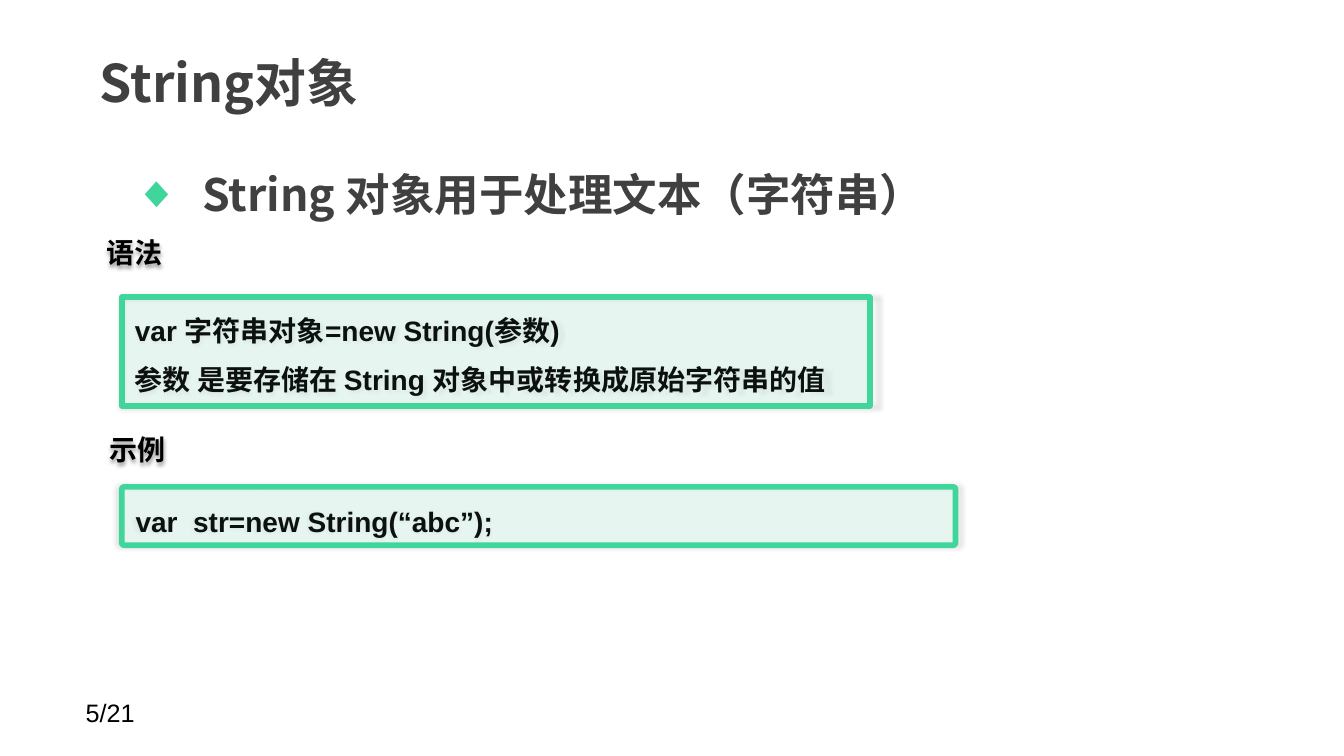
from lxml.etree import SubElement
from pptx import Presentation
from pptx.dml.color import RGBColor
from pptx.enum.shapes import MSO_SHAPE as Shape
from pptx.enum.text import MSO_ANCHOR as Anchor, MSO_AUTO_SIZE as AutoSize
from pptx.oxml.ns import qn
from pptx.util import Cm, Pt

COLORS = {"green": "40D59B", "mint": "A6EBD1", "code": "0C1110",
          "heading": "404040", "black": "000000"}
LATIN, CJK = "Arial", "Noto Sans CJK SC"


def color(name):
    return RGBColor.from_string(COLORS[name])


def add_node(parent, tag, **attributes):
    return SubElement(parent, qn(tag), {key: str(value) for key, value in attributes.items()})


def add_color(parent, name, alpha=100):
    node = add_node(parent, "a:srgbClr", val=COLORS[name])
    if alpha < 100:
        add_node(node, "a:alpha", val=alpha * 1000)


def add_shadow(shape, alpha, **geometry):
    effects = add_node(shape.element.spPr, "a:effectLst")
    shadow = add_node(effects, "a:outerShdw", blurRad=Pt(3), **geometry, rotWithShape=0)
    add_color(shadow, "black", alpha)


def write(shape, *lines, size, ink, font=CJK, bold=True, anchor=Anchor.TOP,
          inset=(0.33, 0.16), spacing=None, before=0, wrap=True):
    """Fill the shape with one formatted paragraph per line."""
    frame = shape.text_frame
    frame.word_wrap = wrap
    frame.vertical_anchor = anchor
    frame.margin_left = frame.margin_right = Cm(inset[0])
    frame.margin_top = frame.margin_bottom = Cm(inset[1])
    for index, line in enumerate(lines):
        para = frame.add_paragraph() if index else frame.paragraphs[0]
        para.line_spacing = spacing
        para.space_before = Pt(before)
        span = para.add_run()
        span.text = line
        span.font.size, span.font.bold, span.font.name = Pt(size), bold, font
        span.font.color.rgb = color(ink)
        add_node(span.font._element, "a:ea", typeface=CJK)
    return frame


def add_text(page, box, *lines, **style):
    shape = page.shapes.add_textbox(*map(Cm, box))
    write(shape, *lines, **style)
    return shape


def add_point(page, box, text):
    """Main statement with a green diamond bullet."""
    shape = add_text(page, box, text, size=31.8, ink="heading", spacing=1.5, before=6.4)
    layout = shape.text_frame.paragraphs[0]._p.get_or_add_pPr()
    layout.set("marL", str(Cm(1.7)))
    layout.set("indent", str(-Cm(1.7)))
    add_color(add_node(layout, "a:buClr"), "green")
    add_node(layout, "a:buFont", typeface=LATIN)
    add_node(layout, "a:buChar", char="◆")


def add_label(page, box, text):
    """Section label with a soft shadow below its letters."""
    shape = add_text(page, box, text, size=20, ink="black", anchor=Anchor.MIDDLE,
                     inset=(0.25, 0.13), wrap=False)
    shape.text_frame.auto_size = AutoSize.SHAPE_TO_FIT_TEXT
    add_shadow(shape, 40, dist=Pt(2), dir=5400000)


def add_code(page, box, *lines, kind=Shape.RECTANGLE, align="tl"):
    """Framed code panel with a translucent fill."""
    panel = page.shapes.add_shape(kind, *map(Cm, box))
    if kind == Shape.ROUNDED_RECTANGLE:
        panel.adjustments[0] = 0.04
    panel.fill.solid()
    panel.fill.fore_color.rgb = color("mint")
    fill = panel.element.spPr.find(qn("a:solidFill"))
    add_node(fill[0], "a:alpha", val=22000)
    panel.line.color.rgb = color("green")
    panel.line.width = Pt(4)
    add_shadow(panel, 10, sx=101000, sy=101000, algn=align)
    frame = write(panel, *lines, size=20, ink="code", font=LATIN, spacing=1.3, before=4)
    for para in frame.paragraphs:
        para._p.get_or_add_pPr().set("algn", "l")


def build_slide(page):
    # Page number and title
    add_text(page, (1.91, 17.45, 5.92, 1.02), "5/21", size=18, ink="black", font=LATIN,
             bold=False, inset=(0.25, 0.13))
    add_text(page, (2.18, 0.76, 26.44, 2.62), "String对象", size=37, ink="heading",
             anchor=Anchor.MIDDLE)

    # Code panels
    add_code(page, (3.07, 7.49, 18.85, 2.74), "var 字符串对象=new String(参数)",
             "参数 是要存储在 String 对象中或转换成原始字符串的值")
    add_code(page, (3.07, 12.27, 21.01, 1.47), "var  str=new String(“abc”);",
             kind=Shape.ROUNDED_RECTANGLE, align="ctr")

    # Statement and section labels
    add_point(page, (3.07, 3.38, 29.69, 13.39), "String 对象用于处理文本（字符串）")
    add_label(page, (2.44, 5.79, 1.96, 1.12), "语法")
    add_label(page, (2.51, 10.77, 1.96, 1.12), "示例")


def main():
    deck = Presentation()
    deck.slide_width, deck.slide_height = Cm(33.87), Cm(19.05)
    build_slide(deck.slides.add_slide(deck.slide_layouts[6]))
    deck.save("out.pptx")


if __name__ == "__main__":
    main()
